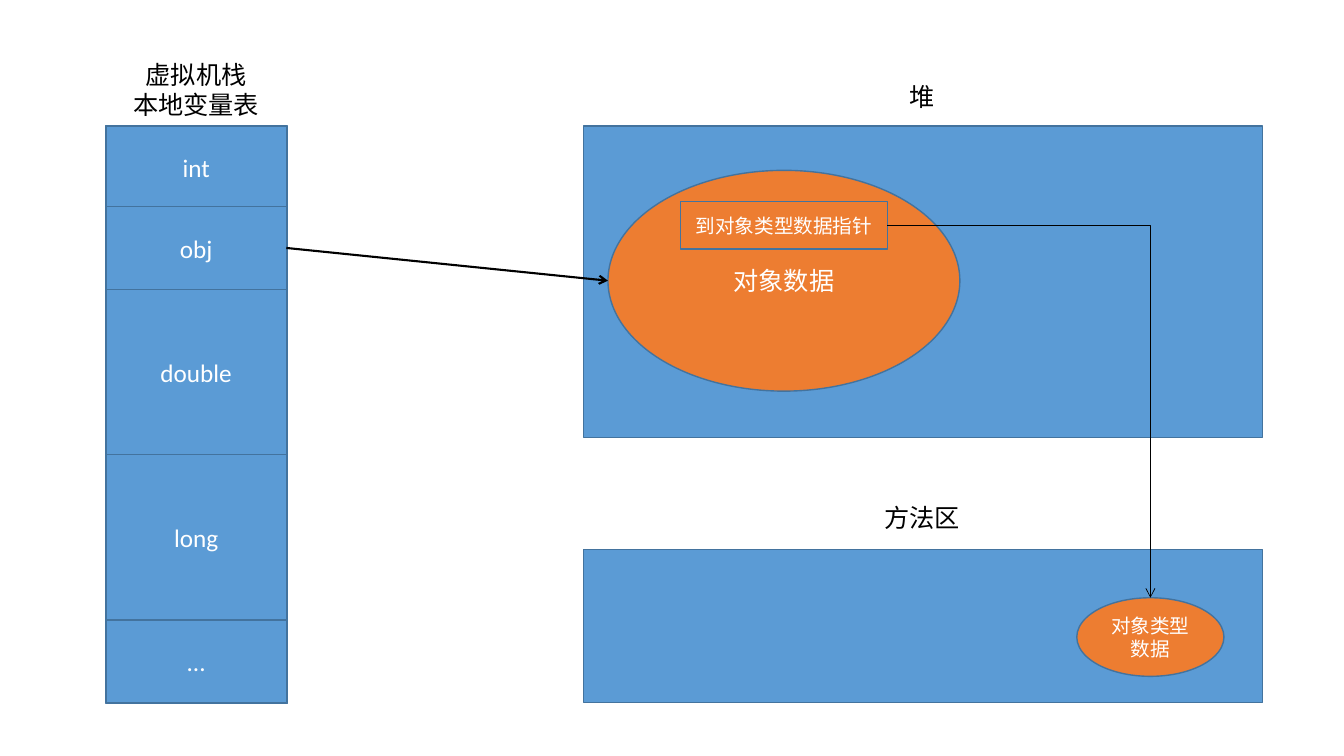
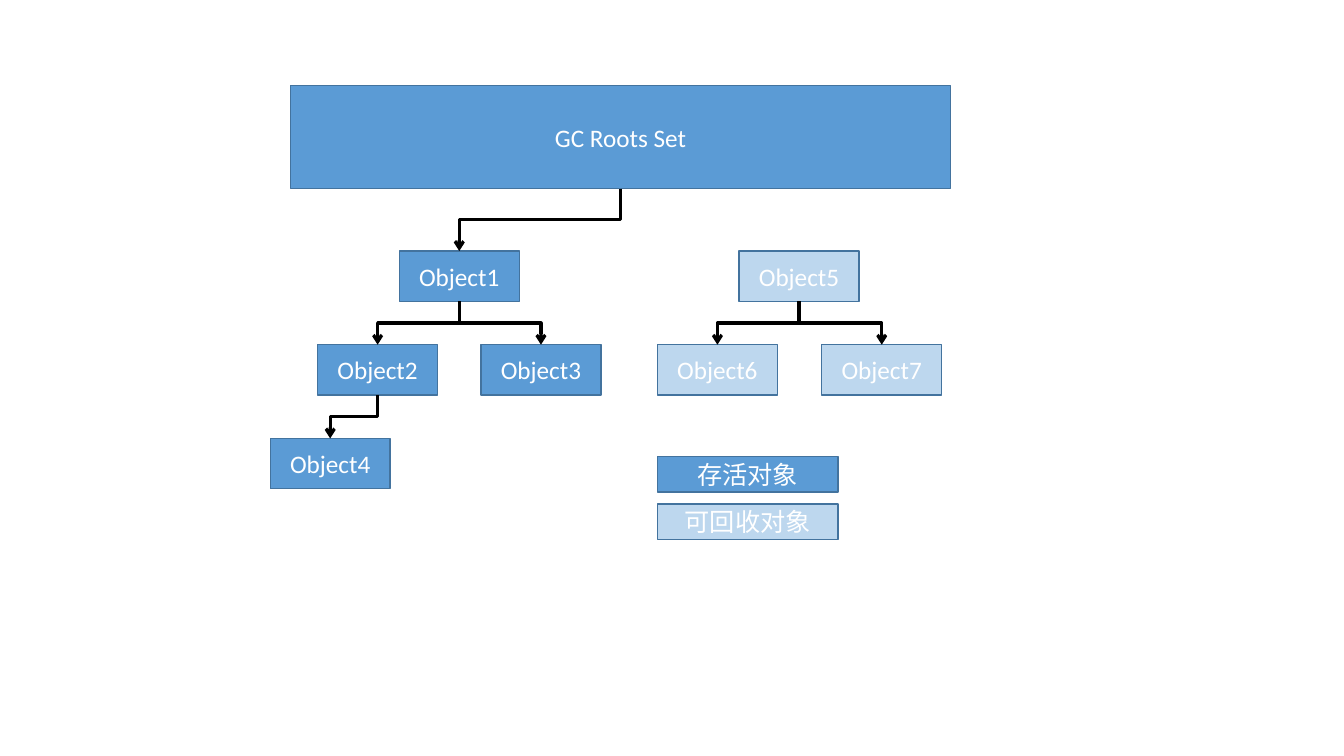
"""Build two slides: object access through a direct pointer, and garbage collection reachability."""
from lxml import etree
from pptx import Presentation
from pptx.dml.color import RGBColor
from pptx.enum.shapes import MSO_CONNECTOR, MSO_SHAPE
from pptx.enum.text import MSO_ANCHOR, MSO_AUTO_SIZE, PP_ALIGN
from pptx.oxml.ns import qn
from pptx.util import Inches, Pt

RECTANGLE, ELLIPSE = MSO_SHAPE.RECTANGLE, MSO_SHAPE.OVAL
STRAIGHT, ELBOW = MSO_CONNECTOR.STRAIGHT, MSO_CONNECTOR.ELBOW
CENTER, MIDDLE = PP_ALIGN.CENTER, MSO_ANCHOR.MIDDLE
GROW = MSO_AUTO_SIZE.SHAPE_TO_FIT_TEXT
TOP, BOTTOM, RIGHT = 0, 2, 3

FONT = "Calibri"
COLORS = {"blue": "5B9BD5", "pale": "BDD7EE", "orange": "ED7D31",
          "outline": "43739E", "white": "FFFFFF", "black": "000000"}

CAPTIONS = [
    (["虚拟机栈", "本地变量表"], (1.22, 0.54, 1.45, 0.71)),
    (["堆"], (8.92, 0.76, 0.45, 0.4)),
    (["方法区"], (8.67, 4.93, 0.95, 0.4)),
]
STACK_LEFT, STACK_WIDTH, SLOT_HEIGHT = 1.05, 1.79, 0.82
STACK_FRAME = (STACK_LEFT, 1.25, 1.8, 5.73)
SLOTS = [("int", 1.25, 1), ("obj", 2.05, 1), ("double", 2.87, 2),
         ("long", 4.51, 2), ("...", 6.15, 1)]
HEAP = (5.79, 1.25, 6.73, 3.09)
METHOD_AREA = (5.79, 5.45, 6.73, 1.52)
OBJECT_DATA = ("对象数据", (6.03, 1.69, 3.49, 2.19))
TYPE_POINTER = ("到对象类型数据指针", (6.75, 2, 2.05, 0.47))
TYPE_DATA = ("对象类型数据", (10.68, 5.93, 1.46, 0.78))

ROOTS = ("GC Roots Set", (2.88, 0.85, 6.55, 1.02))
NODE_WIDTH, NODE_HEIGHT = 1.19, 0.5
FIRST_LEVEL, LEVEL_STEP = 2.49, 0.93
NODES = [
    ("Object1", 3.96, 0, "GC Roots Set", "blue"),
    ("Object2", 3.15, 1, "Object1", "blue"),
    ("Object3", 4.77, 1, "Object1", "blue"),
    ("Object4", 2.68, 2, "Object2", "blue"),
    ("Object5", 7.33, 0, None, "pale"),
    ("Object6", 6.52, 1, "Object5", "pale"),
    ("Object7", 8.15, 1, "Object5", "pale"),
]
LEGEND = [("存活对象", "blue"), ("可回收对象", "pale")]
LEGEND_LEFT, LEGEND_TOP, LEGEND_STEP = 6.52, 4.53, 0.47
LEGEND_WIDTH, LEGEND_HEIGHT = 1.79, 0.35


def rgb(name):
    return RGBColor.from_string(COLORS[name])


def write(frame, lines, size, color):
    para = frame.paragraphs[0]
    para.alignment = CENTER
    for index, line in enumerate(lines):
        if index:
            para.add_line_break()
        span = para.add_run()
        span.text = line
        span.font.name = FONT
        span.font.size = Pt(size)
        span.font.color.rgb = rgb(color)


def add_box(page, place, text="", fill="blue", kind=RECTANGLE, size=18):
    box = page.shapes.add_shape(kind, *map(Inches, place))
    box.shadow.inherit = False
    box.fill.solid()
    box.fill.fore_color.rgb = rgb(fill)
    box.line.color.rgb = rgb("outline")
    box.line.width = Pt(1)
    if text:
        box.text_frame.word_wrap = True
        box.text_frame.vertical_anchor = MIDDLE
        write(box.text_frame, [text], size, "white")
    return box


def add_caption(page, lines, place):
    box = page.shapes.add_textbox(*map(Inches, place))
    box.text_frame.word_wrap = False
    box.text_frame.auto_size = GROW
    write(box.text_frame, lines, 18, "black")


def add_arrow(page, kind, width):
    arrow = page.shapes.add_connector(kind, 0, 0, 0, 0)
    arrow.line.color.rgb = rgb("black")
    arrow.line.width = Pt(width)
    etree.SubElement(arrow.line._get_or_add_ln(), qn("a:tailEnd"), type="arrow")
    etree.SubElement(arrow._element.spPr, qn("a:effectLst"))
    return arrow


def add_branch(page, parent, child):
    """Join a parent's bottom to a child's top with a turned elbow."""
    arrow = add_arrow(page, ELBOW, 2.25)
    arrow.begin_connect(parent, BOTTOM)
    arrow.end_connect(child, TOP)
    start_x, end_x = arrow.begin_x, arrow.end_x
    start_y, end_y = arrow.begin_y, arrow.end_y
    drop, spread = end_y - start_y, abs(end_x - start_x)
    arrow.left = (start_x + end_x - drop) // 2
    arrow.top = (start_y + end_y - spread) // 2
    arrow.width, arrow.height = drop, spread
    frame = arrow._element.spPr.find(qn("a:xfrm"))
    for name in ("flipH", "flipV"):
        frame.attrib.pop(name, None)
    if end_x < start_x:
        frame.set("rot", "5400000")
    else:
        frame.set("rot", "16200000")
        frame.set("flipH", "1")


def build_access(page):
    add_box(page, STACK_FRAME)
    slots = {}
    for name, top, units in SLOTS:
        place = (STACK_LEFT, top, STACK_WIDTH, units * SLOT_HEIGHT)
        slots[name] = add_box(page, place, name)
    for area in (HEAP, METHOD_AREA):
        add_box(page, area)
    for lines, place in CAPTIONS:
        add_caption(page, lines, place)

    text, place = OBJECT_DATA
    instance = add_box(page, place, text, "orange", ELLIPSE)
    text, place = TYPE_POINTER
    pointer = add_box(page, place, text, "orange", size=14)
    text, place = TYPE_DATA
    type_data = add_box(page, place, text, "orange", ELLIPSE, 14)

    reference = add_arrow(page, STRAIGHT, 1.5)
    reference.begin_connect(slots["obj"], RIGHT)
    reference.end_x = instance.left
    reference.end_y = instance.top + instance.height // 2

    type_link = add_arrow(page, ELBOW, 0.5)
    type_link.begin_connect(pointer, RIGHT)
    type_link.end_connect(type_data, TOP)
    type_link._element.spPr.find(qn("a:prstGeom")).set("prst", "bentConnector2")


def build_reachability(page):
    text, place = ROOTS
    boxes = {text: add_box(page, place, text)}
    for name, left, level, parent, fill in NODES:
        place = (left, FIRST_LEVEL + level * LEVEL_STEP, NODE_WIDTH, NODE_HEIGHT)
        boxes[name] = add_box(page, place, name, fill)
        if parent:
            add_branch(page, boxes[parent], boxes[name])
    for row, (text, fill) in enumerate(LEGEND):
        place = (LEGEND_LEFT, LEGEND_TOP + row * LEGEND_STEP, LEGEND_WIDTH, LEGEND_HEIGHT)
        add_box(page, place, text, fill)


def main():
    deck = Presentation()
    deck.slide_width, deck.slide_height = Inches(13.33), Inches(7.5)
    for build in (build_access, build_reachability):
        build(deck.slides.add_slide(deck.slide_layouts[6]))
    deck.save("out.pptx")


if __name__ == "__main__":
    main()
